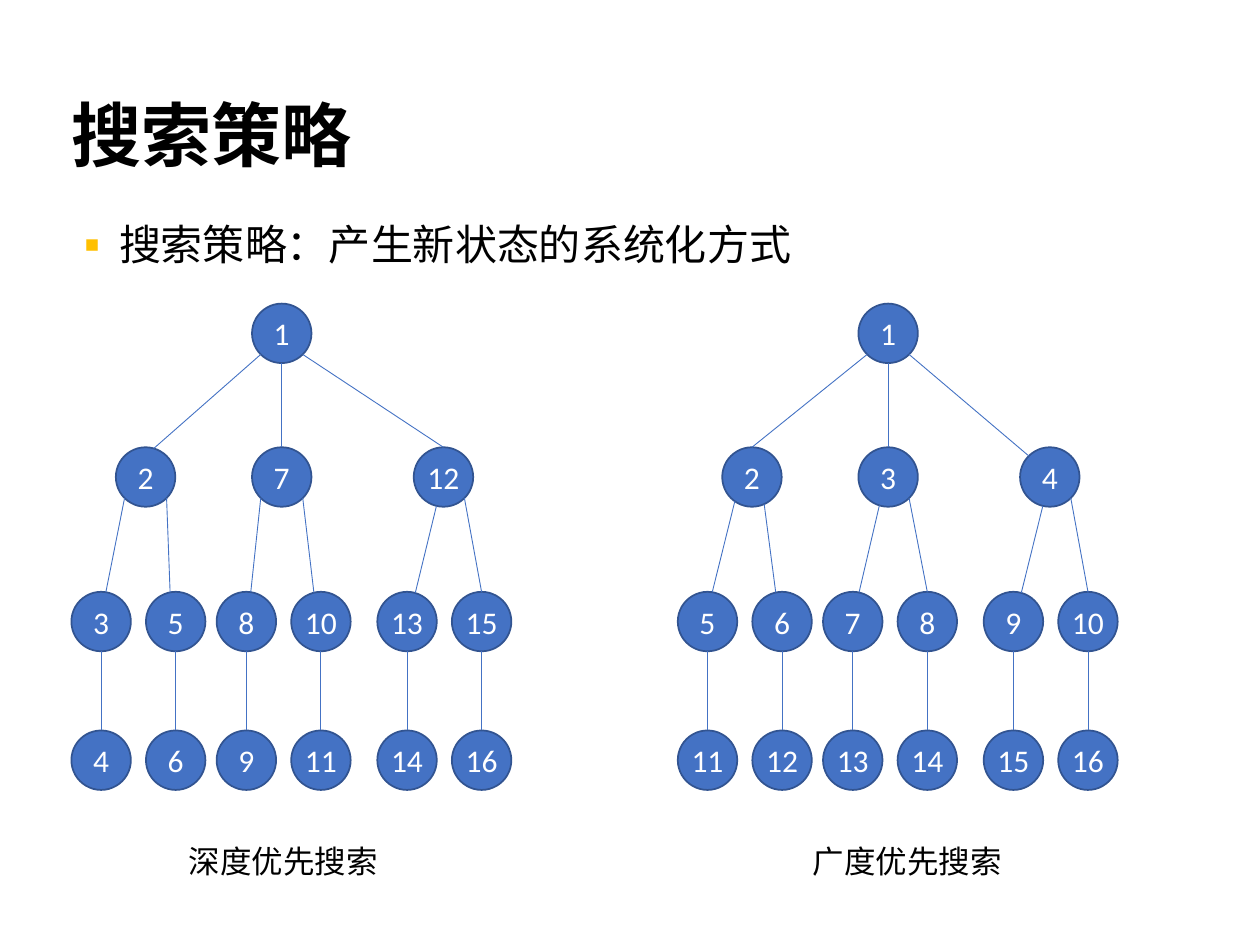
"""Build a slide comparing depth-first and breadth-first search trees."""
from math import sqrt

from lxml.etree import SubElement
from pptx import Presentation
from pptx.dml.color import RGBColor
from pptx.enum.shapes import MSO_CONNECTOR as CONN, MSO_SHAPE as SHAPE
from pptx.enum.text import MSO_ANCHOR as ANCHOR, MSO_AUTO_SIZE as AUTO, PP_ALIGN as ALIGN
from pptx.oxml.ns import qn
from pptx.util import Pt

TITLE = "搜索策略"
BODY = "搜索策略：产生新状态的系统化方式"

# Each edge holds its horizontal offsets from the parent and child centres.
TREES = [
    {
        "caption": "深度优先搜索", "left": 0, "caption_left": 100.8,
        "levels": [[1], [2, 7, 12], [3, 5, 8, 10, 13, 15], [4, 6, 9, 11, 14, 16]],
        "edges": [
            [(-12, 4.7), (0, 0), (12, 0)],
            [(-12, 2.7), (12, -3.2), (-12, 2.5), (12, -4), (-4, 4.7), (12, 0)],
            [(0, 0)] * 6,
        ],
    },
    {
        "caption": "广度优先搜索", "left": 346.5, "caption_left": 457.2,
        "levels": [[1], [2, 3, 4], [5, 6, 7, 8, 9, 10], [11, 12, 13, 14, 15, 16]],
        "edges": [
            [(-12, 0), (0, 0), (12, -12)],
            [(-9.8, 2.7), (7, -3.6), (-5, 3.6), (12, 0), (-4, 4.5), (12, 0)],
            [(0, 0)] * 6,
        ],
    },
]

THEME = {
    "latin": "Calibri", "cjk": "Noto Sans CJK SC",
    "title": 40, "body": 24, "label": 18,
    "text": "000000", "node": "4472C4", "outline": "325491",
    "node_text": "FFFFFF", "bullet": "FFC000",
}

NODE = 34
RADIUS = NODE / 2
PAIR_GAP = 42.6
PAIR_LEFTS = [40.8, 123.8, 215.6]
LEAF_LEFTS = [x + step for x in PAIR_LEFTS for step in (0, PAIR_GAP)]
LEVEL_LEFTS = [[144], [66.2, 144, 236.4], LEAF_LEFTS, LEAF_LEFTS]
LEVEL_TOPS = [173.5, 255.6, 338.2, 417.4]


def assign(obj, **values):
    for name, value in values.items():
        setattr(obj, name, value)


def rgb(name):
    return RGBColor.from_string(THEME[name])


def place(sp, left, top, width, height):
    assign(sp, left=Pt(left), top=Pt(top), width=Pt(width), height=Pt(height))


def write(sp, text, size, color="text", font="latin", bold=False, align=ALIGN.LEFT):
    p = sp.text_frame.paragraphs[0]
    p.alignment = align
    r = p.add_run()
    r.text = text
    assign(r.font, name=THEME[font], size=Pt(THEME[size]), bold=bold)
    r.font.color.rgb = rgb(color)
    SubElement(r._r.get_or_add_rPr(), qn("a:ea"), typeface=THEME["cjk"])
    return p


def add_bullet(p):
    pPr = p._p.get_or_add_pPr()
    pPr.set("marL", str(Pt(27)))
    pPr.set("indent", str(Pt(-27)))
    color = SubElement(pPr, qn("a:buClr"))
    SubElement(color, qn("a:srgbClr"), val=THEME["bullet"])
    SubElement(pPr, qn("a:buFont"), typeface=THEME["cjk"])
    SubElement(pPr, qn("a:buChar"), char="▪")


def add_node(shapes, left, top, number):
    sp = shapes.add_shape(SHAPE.OVAL, Pt(left), Pt(top), Pt(NODE), Pt(NODE))
    sp.shadow.inherit = False
    sp.fill.solid()
    sp.fill.fore_color.rgb = rgb("node")
    sp.line.color.rgb = rgb("outline")
    sp.line.width = Pt(1)
    assign(sp.text_frame, vertical_anchor=ANCHOR.MIDDLE, margin_left=Pt(2.8),
           margin_right=Pt(2.8), margin_top=Pt(3.6), margin_bottom=Pt(3.6))
    write(sp, str(number), "label", "node_text", align=ALIGN.CENTER)
    return sp


def rim(node, dx, side):
    """Return the point on a node's rim at dx, below (side 1) or above (-1)."""
    x = node.left.pt + RADIUS + dx
    y = node.top.pt + RADIUS + side * sqrt(RADIUS ** 2 - dx ** 2)
    return Pt(x), Pt(y)


def add_edge(shapes, parent, child, start_dx, end_dx):
    line = shapes.add_connector(
        CONN.STRAIGHT, *rim(parent, start_dx, 1), *rim(child, end_dx, -1))
    if end_dx == 0:
        line.end_connect(child, 0)
    line.line.color.rgb = rgb("node")
    line.line.width = Pt(0.5)
    SubElement(line._element.spPr, qn("a:effectLst"))


def add_tree(shapes, tree):
    levels = [
        [add_node(shapes, tree["left"] + x, top, n) for x, n in zip(lefts, numbers)]
        for lefts, top, numbers in zip(LEVEL_LEFTS, LEVEL_TOPS, tree["levels"])
    ]
    for parents, children, edges in zip(levels, levels[1:], tree["edges"]):
        fan = len(children) // len(parents)
        for i, (child, edge) in enumerate(zip(children, edges)):
            add_edge(shapes, parents[i // fan], child, *edge)
    box = shapes.add_textbox(Pt(tree["caption_left"]), Pt(477.4), Pt(123.8), Pt(28.8))
    assign(box.text_frame, word_wrap=False, auto_size=AUTO.SHAPE_TO_FIT_TEXT)
    write(box, tree["caption"], "label")


def main():
    prs = Presentation()
    assign(prs, slide_width=Pt(720), slide_height=Pt(540))
    s = prs.slides.add_slide(prs.slide_layouts[1])
    title, body = s.placeholders
    place(title, 33.8, 33.8, 648, 70.6)
    assign(title.text_frame, vertical_anchor=ANCHOR.BOTTOM, auto_size=AUTO.NONE)
    write(title, TITLE, "title", bold=True).line_spacing = 0.9
    place(body, 33.8, 121, 652.3, 375)
    body.text_frame.auto_size = AUTO.NONE
    p = write(body, BODY, "body", font="cjk")
    p.space_before = Pt(10)
    add_bullet(p)
    for tree in TREES:
        add_tree(s.shapes, tree)
    prs.save("out.pptx")


if __name__ == "__main__":
    main()
